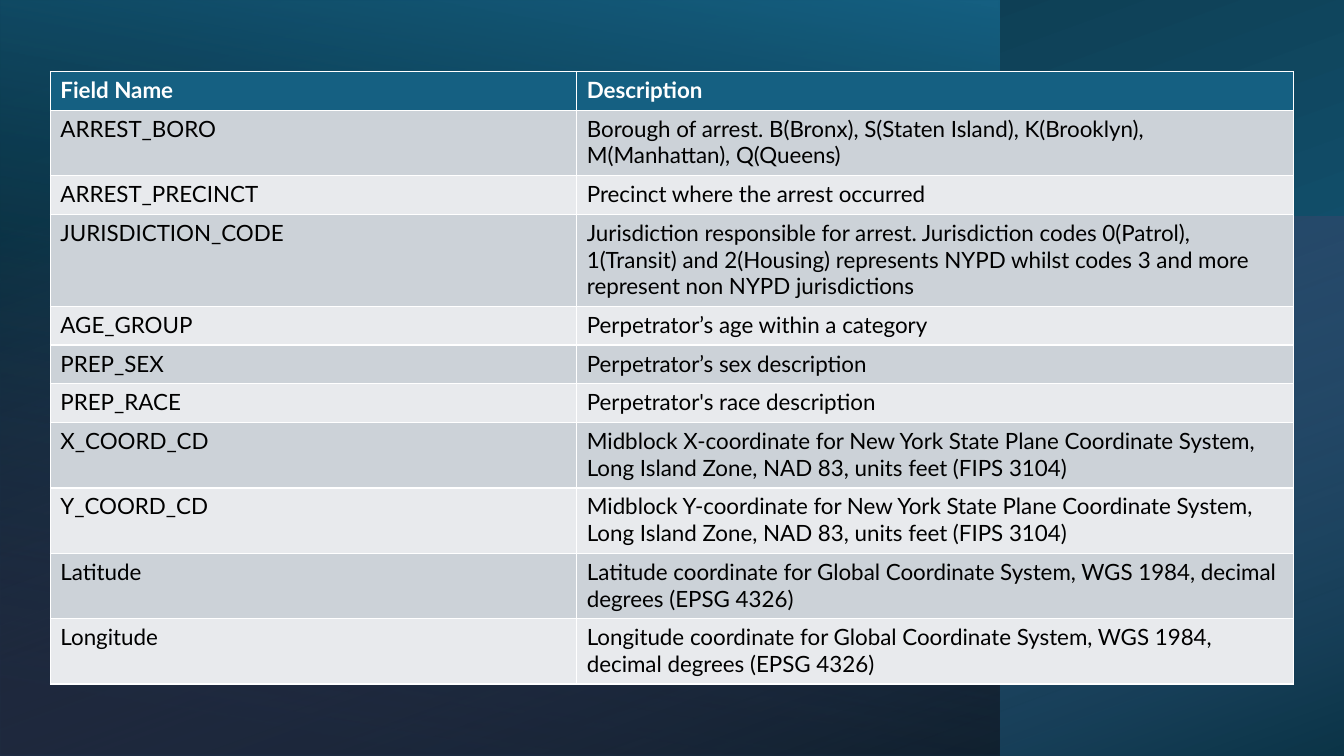
import dataclasses

import lxml.etree
import pptx
import pptx.dml.color
import pptx.enum.shapes
import pptx.oxml
import pptx.oxml.ns
import pptx.util

Pt = pptx.util.Pt


@dataclasses.dataclass(frozen=True)
class Theme:
    """Colours, font and type size of the slide."""
    teal: str = "156082"
    deep_teal: str = "0B3041"
    orchid: str = "D86ECC"
    black: str = "000000"
    white: str = "FFFFFF"
    bands: tuple = ("CCD2D8", "E8EAED")
    font: str = "Lato"
    size: int = 16


THEME = Theme()
SLIDE_WIDTH, SLIDE_HEIGHT = 960, 540
ROW_HEIGHT, EXTRA_LINE = 27.7, 19

FIELDS = [
    ("Field Name", "Description", 1),
    ("ARREST_BORO", "Borough of arrest. B(Bronx), S(Staten Island), K(Brooklyn), "
     "M(Manhattan), Q(Queens)", 2),
    ("ARREST_PRECINCT", "Precinct where the arrest occurred", 1),
    ("JURISDICTION_CODE", "Jurisdiction responsible for arrest. Jurisdiction codes 0(Patrol), "
     "1(Transit) and 2(Housing) represents NYPD whilst codes 3 and more represent "
     "non NYPD jurisdictions", 3),
    ("AGE_GROUP", "Perpetrator’s age within a category", 1),
    ("PREP_SEX", "Perpetrator’s sex description", 1),
    ("PREP_RACE", "Perpetrator's race description", 1),
    *((f"{axis}_COORD_CD", f"Midblock {axis}-coordinate for New York State Plane Coordinate "
       "System, Long Island Zone, NAD 83, units feet (FIPS 3104)", 2) for axis in "XY"),
    *((name, f"{name} coordinate for Global Coordinate System, WGS 1984, decimal degrees "
       "(EPSG 4326)", 2) for name in ("Latitude", "Longitude")),
]


def gradient_fill(stops, angle):
    """Return a linear gradient of (position %, colour, opacity %) stops."""
    stop_xml = "".join(
        f'<a:gs pos="{position * 1000}"><a:srgbClr val="{colour}">'
        f'<a:alpha val="{opacity * 1000}"/></a:srgbClr></a:gs>'
        for position, colour, opacity in stops)
    return pptx.oxml.parse_xml(
        f'<a:gradFill {pptx.oxml.ns.nsdecls("a")} rotWithShape="1"><a:gsLst>{stop_xml}</a:gsLst>'
        f'<a:lin ang="{angle * 60000}" scaled="0"/></a:gradFill>')


def add_glow(slide, box, rotation, stops, angle):
    """Cover the visible box with a mirrored, turned gradient rectangle."""
    left, top, width, height = box
    middle, centre = left + width / 2, top + height / 2
    if rotation % 180:
        width, height = height, width
    glow = slide.shapes.add_shape(
        pptx.enum.shapes.MSO_SHAPE.RECTANGLE,
        Pt(middle - width / 2), Pt(centre - height / 2), Pt(width), Pt(height))
    glow.shadow.inherit = False
    glow.rotation = rotation
    glow.line.fill.background()
    properties = glow._element.spPr
    properties.xfrm.set("flipH", "1")
    properties.find(pptx.oxml.ns.qn("a:prstGeom")).addnext(gradient_fill(stops, angle))


def add_backdrop(slide, box):
    """Layer the three gradients that make up the background."""
    left, top, width, height = box
    side_width, low_height = 714, 385
    add_glow(slide, box, 270, [(8, THEME.teal, 100), (100, THEME.deep_teal, 100)], 200)
    add_glow(slide, (left, top, side_width, height), 180,
             [(8, THEME.black, 52), (100, THEME.teal, 100)], 80)
    add_glow(slide, (left, top + height - low_height, width, low_height), 270,
             [(0, THEME.orchid, 0), (100, THEME.black, 46)], 20)


def fill_cell(cell, text, colour, fill, bold):
    """Write one table cell on a plain fill."""
    cell.fill.solid()
    cell.fill.fore_color.rgb = pptx.dml.color.RGBColor.from_string(fill)
    cell.text_frame.text = text
    font = cell.text_frame.paragraphs[0].runs[0].font
    font.name, font.size, font.bold = THEME.font, Pt(THEME.size), bold
    font.color.rgb = pptx.dml.color.RGBColor.from_string(colour)


def add_field_table(slide, box):
    """Set out the field names and descriptions in the box."""
    left, top, width, height = box
    name_width = 376
    fields = slide.shapes.add_table(
        len(FIELDS), 2, Pt(left), Pt(top), Pt(width), Pt(height)).table
    fields.columns[0].width = Pt(name_width)
    fields.columns[1].width = Pt(width - name_width)
    for index, (name, description, lines) in enumerate(FIELDS):
        fields.rows[index].height = Pt(ROW_HEIGHT + EXTRA_LINE * (lines - 1))
        is_header = index == 0
        colour = THEME.white if is_header else THEME.black
        fill = THEME.teal if is_header else THEME.bands[(index - 1) % 2]
        for column, text in enumerate((name, description)):
            fill_cell(fields.cell(index, column), text, colour, fill, is_header)


def main():
    """Build the slide and save it."""
    deck = pptx.Presentation()
    deck.slide_width, deck.slide_height = Pt(SLIDE_WIDTH), Pt(SLIDE_HEIGHT)
    slide = deck.slides.add_slide(deck.slide_layouts[6])
    add_backdrop(slide, (0, 0, SLIDE_WIDTH, SLIDE_HEIGHT))
    add_field_table(slide, (36, 51, 888, 437.7))
    deck.save("out.pptx")


if __name__ == "__main__":
    main()
